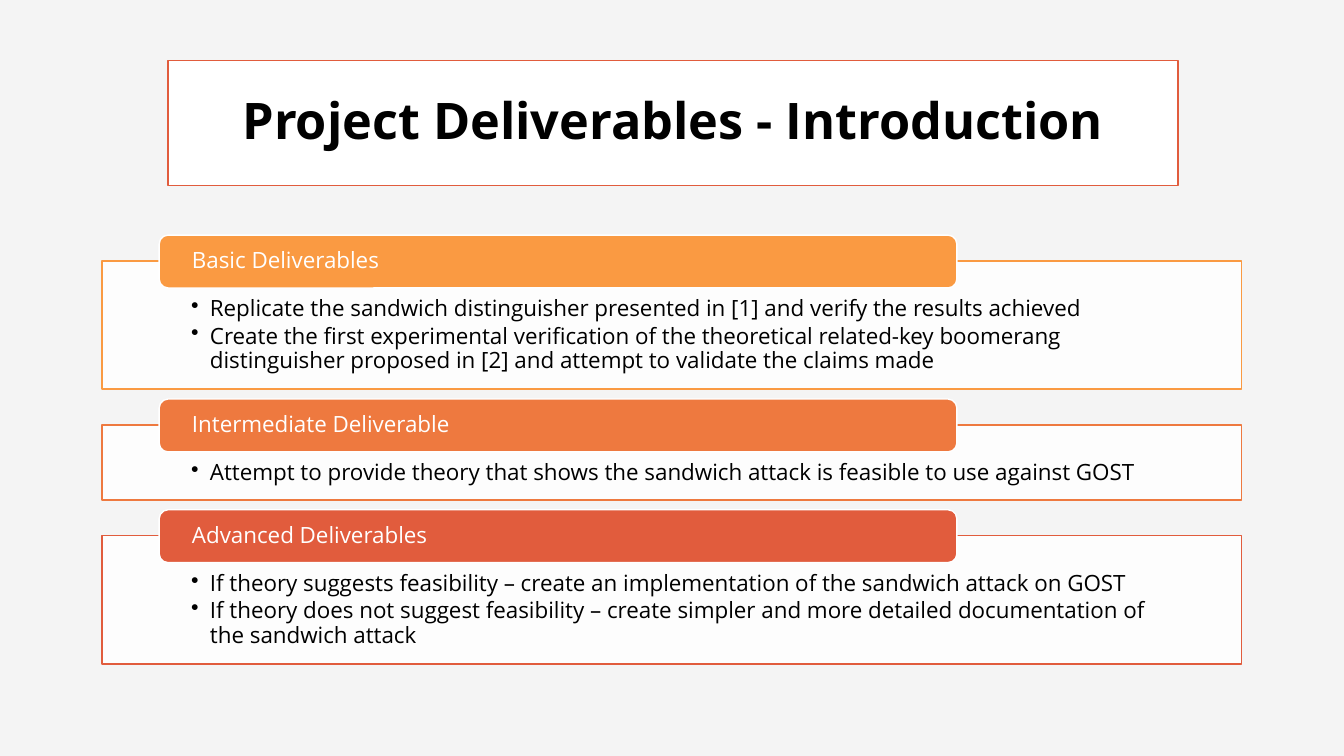
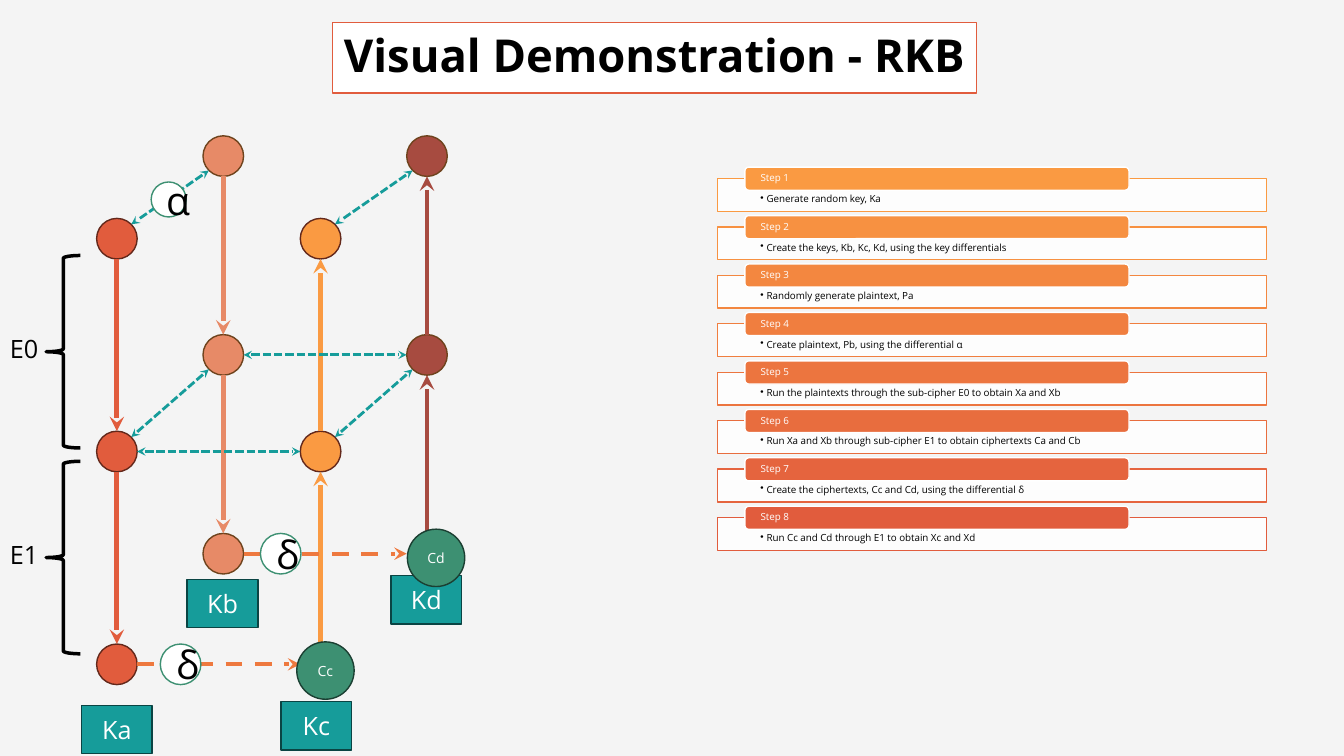
from lxml import etree
from pptx import Presentation
from pptx.dml.color import RGBColor as Rgb
from pptx.enum.dml import MSO_LINE as Dash
from pptx.enum.shapes import MSO_CONNECTOR as Conn, MSO_SHAPE as Kind
from pptx.enum.text import MSO_ANCHOR as Anchor, PP_ALIGN as Align
from pptx.oxml.ns import qn
from pptx.util import Pt

FONT = "Open Sans"
HUES = {
    "back": "F4F4F4", "white": "FFFFFF", "black": "000000",
    "gold": "FA9A42", "orange": "EE793F", "red": "E15C3D",
    "salmon": "E78A67", "wine": "A74B40", "rust": "63281B", "brown": "6E431D",
    "teal": "169C9A", "deep": "0A4443", "green": "3D9072", "pine": "1B3F32",
}


# Shared helpers
def hue(name):
    return Rgb.from_string(HUES[name])


def blend(pos):
    """Colour at pos (0 to 1) on the gold, orange, red ramp."""
    low, high = ("gold", "orange") if pos < 0.5 else ("orange", "red")
    part = pos * 2 % 1 if pos < 1 else 1
    return Rgb(*(round(a + (b - a) * part) for a, b in zip(hue(low), hue(high))))


def write(shape, lines, size, color, align=Align.LEFT, bold=False, space=None,
          after=0, inset=None, anchor=Anchor.MIDDLE):
    frame = shape.text_frame
    frame.word_wrap = True
    frame.vertical_anchor = anchor
    if inset:
        (frame.margin_left, frame.margin_top,
         frame.margin_right, frame.margin_bottom) = map(Pt, inset)
    frame.text = "\n".join(lines)
    for para in frame.paragraphs:
        para.alignment = align
        para.line_spacing = space
        para.space_after = Pt(after)
        for run in para.runs:
            run.font.name, run.font.size, run.font.bold = FONT, Pt(size), bold
            run.font.color.rgb = hue(color)


def draw(slide, kind, box, fill, line, width=1):
    shape = slide.shapes.add_shape(kind, *map(Pt, box))
    shape.shadow.inherit = False
    if fill is None:
        shape.fill.background()
    else:
        shape.fill.solid()
        shape.fill.fore_color.rgb = fill
    shape.line.color.rgb = line
    shape.line.width = Pt(width)
    return shape


def center(mid, wide, high):
    return mid[0] - wide / 2, mid[1] - high / 2, wide, high


def bullet(para, hang):
    props = para._p.get_or_add_pPr()
    props.set("marL", str(Pt(hang)))
    props.set("indent", str(-Pt(hang)))
    etree.SubElement(props, qn("a:buChar")).set("char", "•")


def start(deck, title, box, size):
    slide = deck.slides.add_slide(deck.slide_layouts[6])
    slide.background.fill.solid()
    slide.background.fill.fore_color.rgb = hue("back")
    frame = draw(slide, Kind.RECTANGLE, box, hue("white"), hue("red"))
    write(frame, [title], size, "black", Align.CENTER, True, 0.9)
    return slide


# List of boxes, each with a coloured tab on its upper edge
def panel(slide, box, size, color, head, items):
    left, top, width, _ = box
    body = draw(slide, Kind.RECTANGLE, box, hue("white"), color)
    solid = body.fill._xPr.find(qn("a:solidFill"))[0]
    etree.SubElement(solid, qn("a:alpha")).set("val", "90000")
    side = 0.078 * width
    write(body, items, size, "black", space=0.9, after=0.15 * size,
          inset=(side, 1.62 * size, side, 0), anchor=Anchor.TOP)
    for para in body.text_frame.paragraphs:
        bullet(para, size - 2.5)
    tab = draw(slide, Kind.ROUNDED_RECTANGLE,
               (left + 0.05 * width, top - 1.16 * size, 0.7 * width, 2.36 * size),
               color, hue("white"))
    side = 0.0265 * width
    write(tab, [head], size, "white", space=0.9, inset=(side, 0, side, 0))


def stack(slide, left, top, width, size, groups):
    for i, (head, high, items) in enumerate(groups):
        panel(slide, (left, top, width, high), size,
              blend(i / (len(groups) - 1)), head, items)
        top += high + 1.6 * size


# Cipher diagram
RAD = 14.5


def link(slide, start, end, color, width, dash=None, both=False):
    """Arrow between the rims of two nodes."""
    turn = [(b > a) - (b < a) for a, b in zip(start, end)]
    trim = RAD * (0.71 if all(turn) else 1)
    ends = ([a + t * trim for a, t in zip(start, turn)]
            + [b - t * trim for b, t in zip(end, turn)])
    line = slide.shapes.add_connector(Conn.STRAIGHT, *map(Pt, ends))
    line.line.color.rgb = hue(color)
    line.line.width = Pt(width)
    if dash:
        line.line.dash_style = dash
    stroke = line.line._get_or_add_ln()
    for tag in ("a:headEnd", "a:tailEnd")[0 if both else 1:]:
        etree.SubElement(stroke, qn(tag)).set("type", "stealth")
    etree.SubElement(line._element.spPr, qn("a:effectLst"))


def disc(slide, mid, size, fill, rim, text=None, points=10, color="white"):
    shape = draw(slide, Kind.FLOWCHART_CONNECTOR, center(mid, size, size),
                 hue(fill), hue(rim))
    if text:
        write(shape, [text], points, color, Align.CENTER)


def cipher(slide, left, top):
    def at(x, y):
        return left + x, top + y

    front, back = (59, 211, 363), (0, 142, 284)
    cols = {  # x, rows, fill, rim
        "a": (0, front, "red", "rust"),
        "b": (76, back, "salmon", "brown"),
        "c": (145.5, front, "gold", "rust"),
        "d": (221.5, back, "wine", "brown"),
    }
    nodes = {key: [at(x, y) for y in rows] for key, (x, rows, _, _) in cols.items()}

    # Nodes, the last of c and d being the ciphertext discs
    for key, (_, _, fill, rim) in cols.items():
        for mid in nodes[key][:3 if key in "ab" else 2]:
            disc(slide, mid, 2 * RAD, fill, rim)

    # Down through E0 and E1, then back up
    for key, (_, _, fill, _) in cols.items():
        path = nodes[key] if key in "ab" else nodes[key][::-1]
        for one, two in zip(path, path[1:]):
            link(slide, one, two, fill, 3.5)

    # Differentials
    for one, two, row in (("b", "a", 0), ("b", "a", 1), ("d", "c", 0),
                          ("d", "c", 1), ("a", "c", 1), ("b", "d", 1)):
        link(slide, nodes[one][row], nodes[two][row], "teal", 2,
             Dash.SQUARE_DOT, True)
    for one, two in ("ac", "bd"):
        link(slide, nodes[one][2], nodes[two][2], "orange", 3, Dash.DASH)

    # Keys and ciphertexts
    for text, x, y in (("Ka", 0, 409.5), ("Kb", 75.5, 319.5),
                       ("Kd", 221, 317), ("Kc", 142.5, 407)):
        key = draw(slide, Kind.RECTANGLE, center(at(x, y), 50.5, 34.5),
                   hue("teal"), hue("deep"))
        write(key, [text], 18, "white", Align.CENTER)
    for text, x, y in (("Cc", 149, 367.5), ("Cd", 228, 287)):
        disc(slide, at(x, y), 41, "green", "pine", text)
    for text, x, y, size in (("α", 37, 31, 25), ("δ", 45.5, 363, 29),
                             ("δ", 117, 284, 29)):
        disc(slide, at(x, y), size, "white", "green", text, 28, "black")

    # Sub-cipher braces
    for text, y in (("E0", 71), ("E1", 218)):
        draw(slide, Kind.LEFT_BRACE, (*at(-50.5, y), 24.5, 137.5),
             None, hue("black"), 2.5)
        label = slide.shapes.add_textbox(*map(Pt, (*at(-83.5, y + 52), 39, 29)))
        write(label, [text], 18, "black", anchor=Anchor.TOP)


def main():
    deck = Presentation()
    deck.slide_width, deck.slide_height = Pt(960), Pt(540)

    slide = start(deck, "Project Deliverables - Introduction",
                  (120, 43, 721.5, 89.5), 36)
    stack(slide, 73, 186.5, 814, 16, [
        ("Basic Deliverables", 91.5, [
            "Replicate the sandwich distinguisher presented in [1] and verify the results achieved",
            "Create the first experimental verification of the theoretical related-key boomerang "
            "distinguisher proposed in [2] and attempt to validate the claims made"]),
        ("Intermediate Deliverable", 53.5, [
            "Attempt to provide theory that shows the sandwich attack is feasible to use against GOST"]),
        ("Advanced Deliverables", 91.5, [
            "If theory suggests feasibility – create an implementation of the sandwich attack on GOST",
            "If theory does not suggest feasibility – create simpler and more detailed "
            "documentation of the sandwich attack"]),
    ])

    slide = start(deck, "Visual Demonstration - RKB", (237.5, 16, 460, 50.5), 32.4)
    cipher(slide, 83.5, 111.5)
    steps = (
        "Generate random key, Ka",
        "Create the keys, Kb, Kc, Kd, using the key differentials",
        "Randomly generate plaintext, Pa",
        "Create plaintext, Pb, using the differential α",
        "Run the plaintexts through the sub-cipher E0 to obtain Xa and Xb",
        "Run Xa and Xb through sub-cipher E1 to obtain ciphertexts Ca and Cb",
        "Create the ciphertexts, Cc and Cd, using the differential δ",
        "Run Cc and Cd through E1 to obtain Xc and Xd",
    )
    stack(slide, 512.5, 127.5, 392, 7,
          [(f"Step {i}", 23.4, [text]) for i, text in enumerate(steps, 1)])
    deck.save("out.pptx")


if __name__ == "__main__":
    main()
